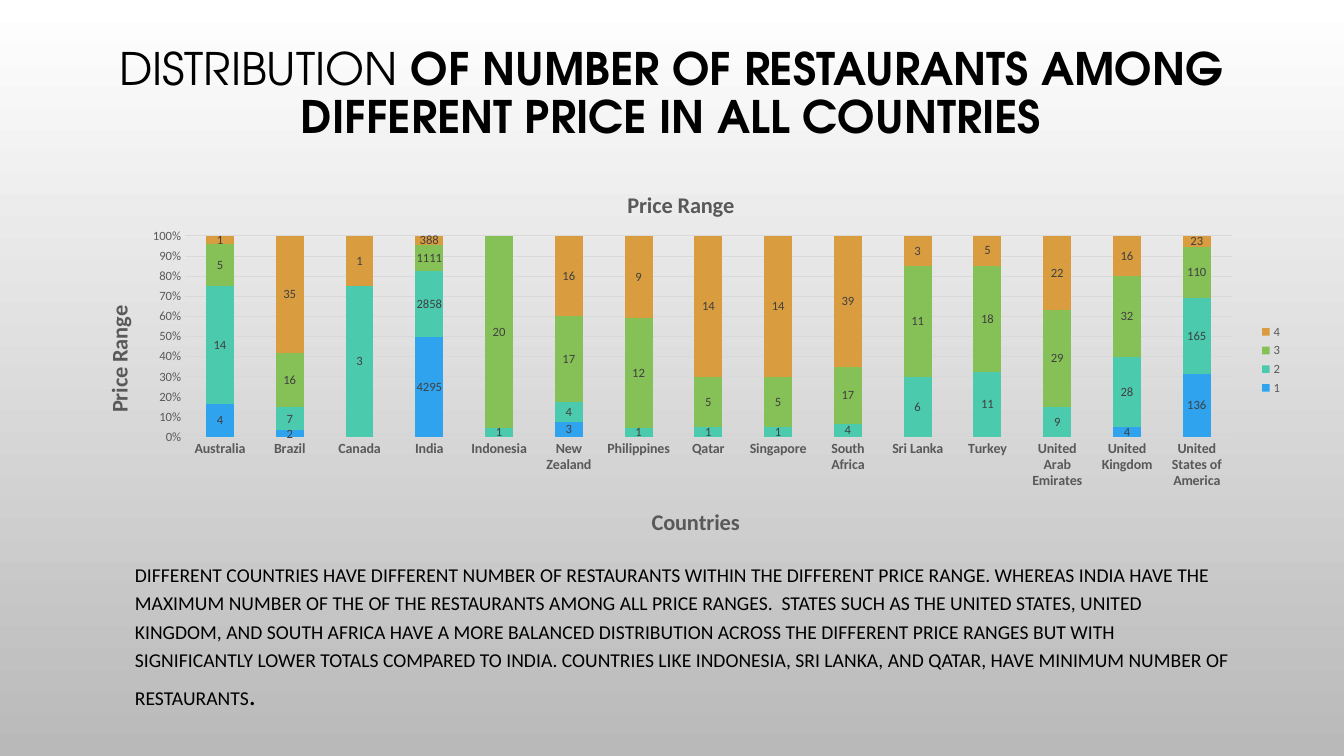
from dataclasses import dataclass

from lxml.etree import SubElement
from pptx import Presentation
from pptx.chart.data import CategoryChartData
from pptx.dml.color import RGBColor
from pptx.enum.chart import XL_CHART_TYPE as ChartType
from pptx.enum.chart import XL_LABEL_POSITION as LabelPosition
from pptx.enum.chart import XL_LEGEND_POSITION as LegendPosition
from pptx.enum.chart import XL_TICK_MARK as TickMark
from pptx.enum.text import MSO_ANCHOR as Anchor
from pptx.enum.text import PP_ALIGN as Align
from pptx.oxml.ns import qn
from pptx.util import Inches, Pt


@dataclass(frozen=True)
class Theme:
    heading_font: str = "TeX Gyre Adventor"
    body_font: str = "Calibri"
    black: str = "000000"
    gray: str = "595959"
    label_gray: str = "404040"
    grid: str = "D9D9D9"
    background: tuple = ("FFFFFF", "B9B9B9")
    series: tuple = ("2FA3EE", "4BCAAD", "86C157", "D99C3F")
    heading_size: int = 32
    stop_size: int = 20
    chart_title_size: int = 16
    body_size: int = 14
    category_size: int = 10
    small_size: int = 9


def style_font(font, size, color, name, bold=False):
    font.size = Pt(size)
    font.color.rgb = RGBColor.from_string(color)
    font.name = name
    font.bold = bold


def add_run(paragraph, text, **style):
    run = paragraph.add_run()
    run.text = text
    style_font(run.font, **style)


def set_layout(element, index, inner=False, **fractions):
    for previous in element.findall(qn("c:layout")):
        element.remove(previous)
    layout = SubElement(element, qn("c:layout"))
    element.insert(index, layout)
    manual = SubElement(layout, qn("c:manualLayout"))
    if inner:
        SubElement(manual, qn("c:layoutTarget")).set("val", "inner")
    for axis in "xy":
        SubElement(manual, qn(f"c:{axis}Mode")).set("val", "edge")
    for key, fraction in fractions.items():
        SubElement(manual, qn(f"c:{key}")).set("val", str(fraction))


class SlideBuilder:
    def __init__(self, slide, theme):
        self.slide = slide
        self.theme = theme

    def background(self):
        fill = self.slide.background.fill
        fill.gradient()
        fill.gradient_angle = 270
        for stop, color in zip(fill.gradient_stops, self.theme.background):
            stop.color.rgb = RGBColor.from_string(color)

    def text(self, box, runs, line_spacing, align=Align.LEFT, anchor=Anchor.TOP):
        frame = self.slide.shapes.add_textbox(*map(Inches, box)).text_frame
        frame.word_wrap = True
        frame.vertical_anchor = anchor
        paragraph = frame.paragraphs[0]
        paragraph.alignment = align
        paragraph.line_spacing = line_spacing
        for text, style in runs:
            add_run(paragraph, text, color=self.theme.black, **style)

    def chart_title(self, title, text, x, y):
        theme = self.theme
        add_run(title.text_frame.paragraphs[0], text, size=theme.chart_title_size,
                color=theme.gray, name=theme.body_font, bold=True)
        set_layout(title.element, 1, x=x, y=y)

    def axis(self, axis, size, bold=False):
        axis.major_tick_mark = axis.minor_tick_mark = TickMark.NONE
        axis.format.line.fill.background()
        style_font(axis.tick_labels.font, size, self.theme.gray, self.theme.body_font, bold)

    def price_chart(self, box, countries, counts):
        theme = self.theme
        data = CategoryChartData()
        data.categories = countries
        for price_range, values in counts.items():
            data.add_series(price_range, values)
        chart = self.slide.shapes.add_chart(
            ChartType.COLUMN_STACKED_100, *map(Inches, box), data).chart
        style_font(chart.font, theme.category_size, theme.black, theme.body_font)

        plot = chart.plots[0]
        plot.gap_width = 150
        plot.overlap = 100
        plot.vary_by_categories = False
        for series, color in zip(plot.series, theme.series):
            series.format.fill.solid()
            series.format.fill.fore_color.rgb = RGBColor.from_string(color)
            labels = series.data_labels
            labels.show_value = True
            labels.position = LabelPosition.CENTER
            style_font(labels.font, theme.small_size, theme.label_gray, theme.body_font)

        country_axis, price_axis = chart.category_axis, chart.value_axis
        self.axis(country_axis, theme.category_size, bold=True)
        self.axis(price_axis, theme.small_size)
        price_axis.maximum_scale = 1
        price_axis.major_unit = 0.1
        price_axis.tick_labels.number_format = "0%"
        price_axis.tick_labels.number_format_is_linked = False
        gridline = price_axis.major_gridlines.format.line
        gridline.color.rgb = RGBColor.from_string(theme.grid)
        gridline.width = Pt(0.75)

        chart.has_title = True
        self.chart_title(chart.chart_title, "Price Range", 0.45, 0.05)
        self.chart_title(country_axis.axis_title, "Countries", 0.47, 0.87)
        self.chart_title(price_axis.axis_title, "Price Range", 0.02, 0.35)
        for body in price_axis.axis_title.element.iter(qn("a:bodyPr")):
            body.set("rot", "-5400000")
            body.set("vert", "horz")

        chart.has_legend = True
        chart.legend.position = LegendPosition.RIGHT
        chart.legend.include_in_layout = False
        style_font(chart.legend.font, theme.small_size, theme.gray, theme.body_font)
        for plot_area in chart.element.iter(qn("c:plotArea")):
            set_layout(plot_area, 0, inner=True, x=0.09, y=0.18, w=0.86, h=0.52)


COUNTRIES = [
    "Australia", "Brazil", "Canada", "India", "Indonesia", "New Zealand",
    "Philippines", "Qatar", "Singapore", "South Africa", "Sri Lanka", "Turkey",
    "United Arab Emirates", "United Kingdom", "United States of America",
]
RESTAURANTS = {
    "1": [4, 2, None, 4295, None, 3, *[None] * 7, 4, 136],
    "2": [14, 7, 3, 2858, 1, 4, 1, 1, 1, 4, 6, 11, 9, 28, 165],
    "3": [5, 16, None, 1111, 20, 17, 12, 5, 5, 17, 11, 18, 29, 32, 110],
    "4": [1, 35, 1, 388, None, 16, 9, 14, 14, 39, 3, 5, 22, 16, 23],
}
SUMMARY = (
    "DIFFERENT COUNTRIES HAVE DIFFERENT NUMBER OF RESTAURANTS WITHIN THE DIFFERENT "
    "PRICE RANGE. WHEREAS INDIA HAVE THE MAXIMUM NUMBER OF THE OF THE RESTAURANTS "
    "AMONG ALL PRICE RANGES.  STATES SUCH AS THE UNITED STATES, UNITED KINGDOM, AND "
    "SOUTH AFRICA HAVE A MORE BALANCED DISTRIBUTION ACROSS THE DIFFERENT PRICE RANGES "
    "BUT WITH SIGNIFICANTLY LOWER TOTALS COMPARED TO INDIA. COUNTRIES LIKE INDONESIA, "
    "SRI LANKA, AND QATAR, HAVE MINIMUM NUMBER OF RESTAURANTS"
)


def main():
    presentation = Presentation()
    presentation.slide_width = Inches(13.33)
    presentation.slide_height = Inches(7.5)
    theme = Theme()
    builder = SlideBuilder(
        presentation.slides.add_slide(presentation.slide_layouts[6]), theme)
    heading = {"size": theme.heading_size, "name": theme.heading_font}
    builder.background()
    builder.text((0.75, 0.16, 11.82, 1.57), [
        ("DISTRIBUTION", heading),
        (" OF NUMBER OF RESTAURANTS AMONG DIFFERENT PRICE IN ALL COUNTRIES",
         {**heading, "bold": True}),
    ], 0.9, Align.CENTER, Anchor.MIDDLE)
    builder.text((1.24, 5.49, 11.1, 1.85), [
        (SUMMARY, {"size": theme.body_size, "name": theme.body_font}),
        (".", {"size": theme.stop_size, "name": theme.body_font}),
    ], 1.2)
    builder.price_chart((0.75, 1.65, 12.07, 3.84), COUNTRIES, RESTAURANTS)
    presentation.save("out.pptx")


if __name__ == "__main__":
    main()
